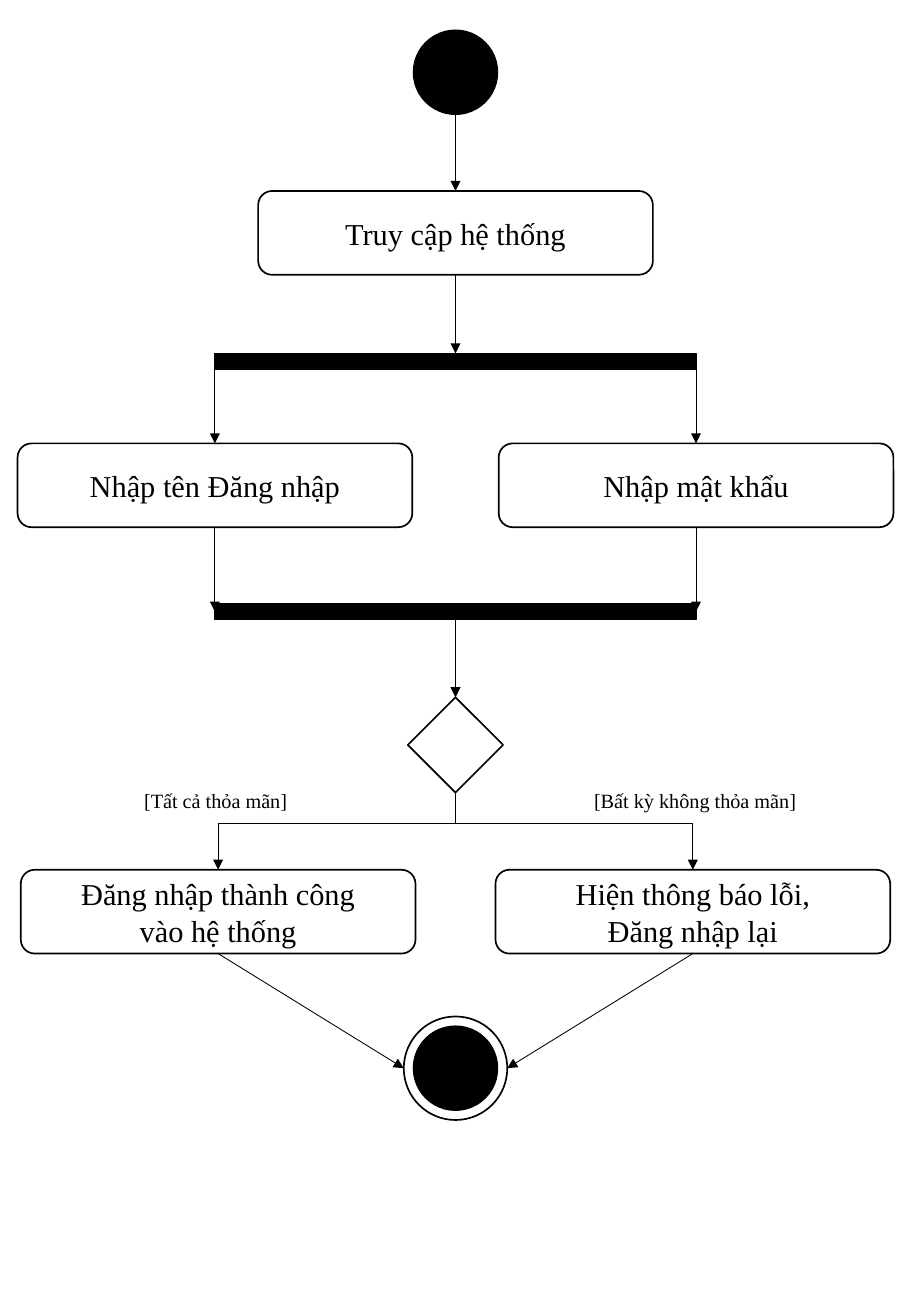
"""Builds the activity diagram of a login flow on a portrait slide."""
import pptx
import pptx.dml.color
import pptx.enum.shapes
import pptx.enum.text
import pptx.oxml
import pptx.oxml.ns
import pptx.util

Pt = pptx.util.Pt
SHAPES = pptx.enum.shapes.MSO_SHAPE
BLACK = pptx.dml.color.RGBColor(0, 0, 0)
WHITE = pptx.dml.color.RGBColor(255, 255, 255)
FONT = "Times New Roman"
SLIDE_WIDTH, SLIDE_HEIGHT = 540, 780
STEP_WIDTH, STEP_HEIGHT = 234, 49.7
DOT = 49.7
RING = 61.3
BAR_HEIGHT = 9.4
DIAMOND = 56.5


def write_lines(frame, lines, size):
    frame.word_wrap = True
    for index, line in enumerate(lines):
        paragraph = frame.add_paragraph() if index else frame.paragraphs[0]
        paragraph.alignment = pptx.enum.text.PP_ALIGN.CENTER
        run = paragraph.add_run()
        run.text = line
        run.font.name = FONT
        run.font.size = Pt(size)
        run.font.color.rgb = BLACK


def add_node(slide, kind, center, top, width, height, fill):
    node = slide.shapes.add_shape(
        kind, Pt(center - width / 2), Pt(top), Pt(width), Pt(height))
    node.shadow.inherit = False
    node.fill.solid()
    node.fill.fore_color.rgb = fill
    node.line.color.rgb = BLACK
    node.line.width = Pt(1)
    return node


def add_step(slide, center, top, *lines):
    step = add_node(slide, SHAPES.ROUNDED_RECTANGLE, center, top,
                    STEP_WIDTH, STEP_HEIGHT, WHITE)
    step.text_frame.vertical_anchor = pptx.enum.text.MSO_ANCHOR.MIDDLE
    write_lines(step.text_frame, lines, 18)


def add_flow(slide, start, end, arrow=True):
    flow = slide.shapes.add_connector(
        pptx.enum.shapes.MSO_CONNECTOR.STRAIGHT, *map(Pt, start + end))
    flow.line.color.rgb = BLACK
    flow.line.width = Pt(0.5)
    if arrow:
        tail = pptx.oxml.parse_xml(
            f'<a:tailEnd {pptx.oxml.ns.nsdecls("a")} type="triangle"/>')
        flow.line._get_or_add_ln().append(tail)
    flow._element.spPr.append(
        pptx.oxml.parse_xml(f'<a:effectLst {pptx.oxml.ns.nsdecls("a")}/>'))


def add_condition(slide, center, top, text):
    width, height = 152.6, 21.6
    condition = slide.shapes.add_textbox(
        Pt(center - width / 2), Pt(top), Pt(width), Pt(height))
    write_lines(condition.text_frame, [text], 12)


def draw_access(slide, left, top, width, height):
    """Start dot and access step; the last arrow ends at the box bottom."""
    center = left + width / 2
    step_top = top + 95.2
    add_node(slide, SHAPES.OVAL, center, top, DOT, DOT, BLACK)
    add_step(slide, center, step_top, "Truy cập hệ thống")
    add_flow(slide, (center, top + DOT), (center, step_top))
    add_flow(slide, (center, step_top + STEP_HEIGHT), (center, top + height))


def draw_inputs(slide, left, top, width, height):
    """Two parallel input steps between a fork bar and a join bar."""
    step_top = top + 53.3
    join_top = top + height - BAR_HEIGHT
    for bar_top in (top, join_top):
        add_node(slide, SHAPES.RECTANGLE, left + width / 2, bar_top,
                 width, BAR_HEIGHT, BLACK)
    for center, text in ((left, "Nhập tên Đăng nhập"),
                         (left + width, "Nhập mật khẩu")):
        add_step(slide, center, step_top, text)
        add_flow(slide, (center, top + BAR_HEIGHT / 2), (center, step_top))
        add_flow(slide, (center, step_top + STEP_HEIGHT),
                 (center, join_top + BAR_HEIGHT / 2))


def draw_decision(slide, left, top, width, height):
    """Decision diamond whose two branches lead to the result steps."""
    center, right = left + width / 2, left + width
    diamond_top = top + 46.1
    branch_y = top + 121
    step_top = top + height - STEP_HEIGHT
    add_flow(slide, (center, top), (center, diamond_top))
    add_node(slide, SHAPES.DIAMOND, center, diamond_top,
             DIAMOND, DIAMOND, WHITE)
    add_flow(slide, (center, diamond_top + DIAMOND), (center, branch_y), False)
    add_flow(slide, (left, branch_y), (right, branch_y), False)
    branches = (
        (left, "[Tất cả thỏa mãn]", "Đăng nhập thành công", "vào hệ thống"),
        (right, "[Bất kỳ không thỏa mãn]", "Hiện thông báo lỗi,", "Đăng nhập lại"),
    )
    for branch_x, condition, *result in branches:
        add_flow(slide, (branch_x, branch_y), (branch_x, step_top))
        add_step(slide, branch_x, step_top, *result)
        add_condition(slide, center + (branch_x - center) * 1.01,
                      branch_y - 24.5, condition)


def draw_end(slide, left, top, width, height):
    """Ringed end dot at the box bottom, reached from both top corners."""
    center = left + width / 2
    ring_top = top + height - RING
    add_node(slide, SHAPES.OVAL, center, ring_top, RING, RING, WHITE)
    add_node(slide, SHAPES.OVAL, center, ring_top + (RING - DOT) / 2,
             DOT, DOT, BLACK)
    for corner, side in ((left, -1), (left + width, 1)):
        add_flow(slide, (corner, top),
                 (center + side * RING / 2, ring_top + RING / 2))


def main():
    """Stacks the four regions of the flow and saves the slide."""
    deck = pptx.Presentation()
    deck.slide_width, deck.slide_height = Pt(SLIDE_WIDTH), Pt(SLIDE_HEIGHT)
    slide = deck.slides.add_slide(deck.slide_layouts[6])
    draw_access(slide, 153, 18, 234, 191.5)
    draw_inputs(slide, 127.4, 209.5, 285.2, 157.7)
    draw_decision(slide, 129.3, 367.2, 281.4, 198)
    draw_end(slide, 129.3, 565.2, 281.4, 98.6)
    deck.save("out.pptx")


if __name__ == "__main__":
    main()
